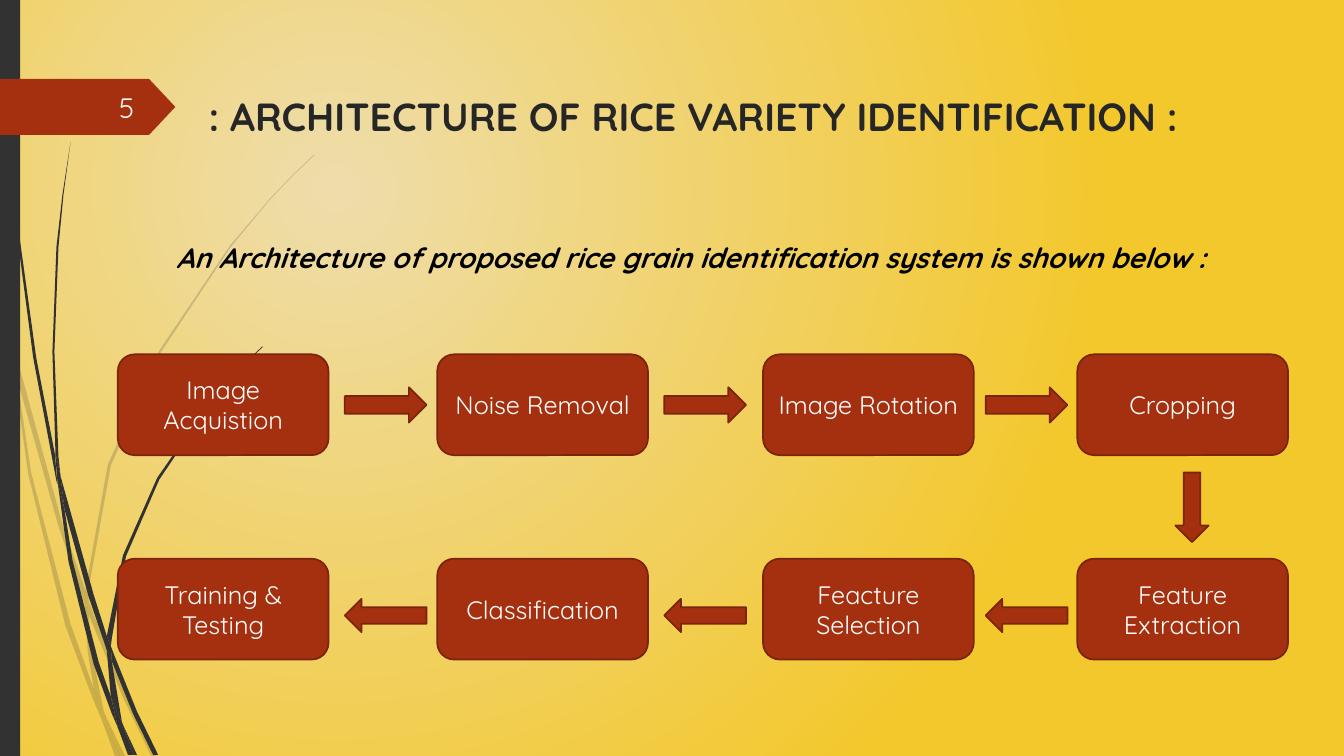
from pptx import Presentation
from pptx.dml.color import RGBColor
from pptx.enum.shapes import MSO_SHAPE
from pptx.enum.text import MSO_ANCHOR, MSO_AUTO_SIZE, PP_ALIGN
from pptx.oxml import parse_xml
from pptx.oxml.ns import nsdecls, qn
from pptx.util import Cm, Pt
from lxml import etree

BOX, RECT, TAG = MSO_SHAPE.ROUNDED_RECTANGLE, MSO_SHAPE.RECTANGLE, MSO_SHAPE.PENTAGON
RIGHT, LEFT, DOWN = MSO_SHAPE.RIGHT_ARROW, MSO_SHAPE.LEFT_ARROW, MSO_SHAPE.DOWN_ARROW
TOP, MID = MSO_ANCHOR.TOP, MSO_ANCHOR.MIDDLE
FLUSH, CENTER, END = PP_ALIGN.LEFT, PP_ALIGN.CENTER, PP_ALIGN.RIGHT

FONT = "Quicksand"
RUST = RGBColor(0xA5, 0x30, 0x0F)
EDGE = RGBColor(0x7A, 0x24, 0x0B)
DARK = RGBColor(0x32, 0x32, 0x32)
INK = RGBColor(0x26, 0x26, 0x26)
BLACK = RGBColor(0, 0, 0)
WHITE = RGBColor(0xFF, 0xFF, 0xFF)
CREAM = RGBColor(0xEE, 0xDD, 0xAB)
GOLD = RGBColor(0xF3, 0xC8, 0x2D)

# Content
TITLE = ": ARCHITECTURE OF RICE VARIETY IDENTIFICATION :"
INTRO = "An Architecture of proposed rice grain identification system is shown below :"
PAGE = "5"
STEPS = [
    ["Image Acquistion", "Noise Removal", "Image Rotation", "Cropping"],
    ["Training & Testing", "Classification", "Feacture Selection", "Feature Extraction"],
]

# Flow grid, in cm
COLS = [2.97, 11.02, 19.23, 27.15]
ROWS = [8.93, 14.08]
GAPS = [8.69, 16.74, 24.84]
LINKS = [(RIGHT, 9.76, 0.89), (LEFT, 15.09, 0.84)]

# Rims of the grass blades, in units of 2.54 cm
UNIT = Cm(2.54)
FINE = 1000
FAINT = [
    [(.11, 3.5), (.09, 3.22), (0, 2.82), (0, 2.99), (.1, 3.44)],
    [(.58, 5.22), (.84, 5.99), (.85, 5.86), (.62, 5.2), (.14, 3.45), (.17, 3.76)],
    [(.92, 6.07), (.88, 5.96), (.88, 6.1), (1.23, 6.94), (1.5, 7.5), (1.55, 7.5),
     (1.27, 6.92)],
    [(1.19, 7.5), (1.24, 7.5), (1.05, 7.11)],
    [(.93, 6.83), (.7, 6.19), (.31, 4.69), (.17, 3.76), (.11, 3.5), (.28, 4.7),
     (.65, 6.21), (.92, 6.93), (1.01, 7.14), (.99, 7.07)],
    [(.84, 5.99), (.87, 6.46), (.93, 6.83), (.96, 6.92), (1.05, 7.11),
     (1.03, 7.06), (.91, 6.46), (.88, 6.1), (.88, 6.08)],
    [(.88, 5.84), (1.1, 4.62), (1.6, 3.49), (2.29, 2.45), (2.68, 1.98),
     (2.9, 1.75), (3.12, 1.54), (3.12, 1.53), (2.89, 1.75), (2.68, 1.97),
     (2.28, 2.44), (1.58, 3.48), (1.07, 4.61), (.85, 5.84), (.85, 5.86), (.88, 5.96)],
    [(1.01, 7.14), (1.14, 7.5), (1.19, 7.5)],
    [(.88, 6.08), (.88, 6.1), (.88, 5.96), (.85, 5.86), (.84, 5.99)],
    [(.96, 6.92), (.93, 6.83), (.99, 7.07), (1.01, 7.14), (1.19, 7.5), (1.05, 7.11)],
]
SOLID = [
    [(.07, 1.1), (.17, 2.33), (.33, 3.55), (.56, 4.77), (.57, 4.81), (.55, 4.57),
     (.55, 4.53), (.36, 3.55), (.19, 2.32), (.08, 1.09), (.05, .48), (.04, 0),
     (.03, 0), (.04, .48)],
    [(.88, 5.92), (1.06, 6.45), (1.06, 6.33), (1.06, 6.31), (.93, 5.9), (.6, 4.72),
     (.64, 5.05)],
    [(1.13, 6.49), (1.1, 6.41), (1.11, 6.56), (1.32, 7.08), (1.52, 7.49),
     (1.57, 7.49), (1.36, 7.06)],
    [(1.1, 6.91), (.98, 6.57), (.72, 5.56), (.64, 5.05), (.57, 4.77), (.68, 5.57),
     (.93, 6.59), (1.11, 7.08), (1.17, 7.22), (1.16, 7.17)],
    [(.6, 4.72), (.58, 4.53), (.54, 3.49), (.58, 2.45), (.63, 1.93), (.7, 1.41),
     (.62, 1.93), (.56, 2.45), (.52, 3.49), (.55, 4.49)],
    [(1.33, 7.49), (1.36, 7.49), (1.22, 7.19)],
    [(.57, 4.77), (.64, 5.05), (.6, 4.72), (.55, 4.49), (.55, 4.53)],
    [(1.11, 6.33), (1.25, 5.52), (1.58, 4.76), (2.05, 4.06), (2.31, 3.74),
     (2.45, 3.59), (2.61, 3.44), (2.6, 3.44), (2.45, 3.58), (2.31, 3.73),
     (2.04, 4.05), (1.56, 4.74), (1.22, 5.51), (1.06, 6.31), (1.1, 6.41)],
    [(1.17, 7.22), (1.27, 7.49), (1.31, 7.49)],
    [(1.06, 6.45), (1.1, 6.91), (1.16, 7.06), (1.22, 7.19), (1.21, 7.16),
     (1.11, 6.56), (1.09, 6.51)],
    [(1.06, 6.45), (1.09, 6.51), (1.11, 6.56), (1.1, 6.41), (1.06, 6.31), (1.06, 6.33)],
    [(1.16, 7.06), (1.1, 6.91), (1.16, 7.17), (1.17, 7.22), (1.3, 7.49),
     (1.33, 7.49), (1.22, 7.19)],
]


def write(frame, text, size, color, align, anchor, bold=False, slant=False):
    frame.word_wrap = True
    frame.auto_size = MSO_AUTO_SIZE.NONE
    frame.vertical_anchor = anchor
    para = frame.paragraphs[0]
    para.alignment = align
    run = para.add_run()
    run.text = text
    font = run.font
    font.name, font.size, font.bold, font.italic = FONT, Pt(size), bold, slant
    font.color.rgb = color
    return para


def place(shape, *spot):
    shape.left, shape.top, shape.width, shape.height = map(Cm, spot)


def paint(shape, fill, line=None):
    shape.shadow.inherit = False
    shape.fill.solid()
    shape.fill.fore_color.rgb = fill
    if line is None:
        shape.line.fill.background()
    else:
        shape.line.color.rgb = line
        shape.line.width = Pt(1.25)
    return shape


def draw(kind, spot, fill=RUST, line=EDGE):
    return paint(slide.shapes.add_shape(kind, *map(Cm, spot)), fill, line)


def blade(rim, alpha=None):
    dots = [(x * FINE, y * FINE) for x, y in rim]
    pen = slide.shapes.build_freeform(*dots[0], scale=UNIT / FINE)
    pen.add_line_segments(dots[1:], close=True)
    shape = paint(pen.convert_to_shape(), DARK)
    if alpha:
        tint = shape.element.spPr.find(qn("a:solidFill"))[0]
        etree.SubElement(tint, qn("a:alpha")).set("val", str(alpha * 1000))


deck = Presentation()
deck.slide_width, deck.slide_height = Cm(33.87), Cm(19.05)
slide = deck.slides.add_slide(deck.slide_layouts[1])

# Background glow
slide.element.cSld.insert(0, parse_xml(
    f'<p:bg {nsdecls("p", "a")}><p:bgPr><a:gradFill rotWithShape="1"><a:gsLst>'
    f'<a:gs pos="0"><a:srgbClr val="{CREAM}"/></a:gs>'
    f'<a:gs pos="100000"><a:srgbClr val="{GOLD}"/></a:gs></a:gsLst>'
    '<a:path path="circle"><a:fillToRect l="50000" t="50000" r="100000" b="100000"/>'
    '</a:path></a:gradFill><a:effectLst/></p:bgPr></p:bg>'))

# Grass, side bar and page tag
for rim in FAINT:
    blade(rim, 20)
for rim in SOLID:
    blade(rim)
draw(RECT, (0, 0, 0.51, 19.05), DARK, None)
tag = draw(TAG, (0, 1.99, 4.42, 1.41), RUST, None)
tag.adjustments[0] = 0.47

# Title and intro, in front of the grass
title, body = slide.shapes.title, slide.placeholders[1]
for item in (title, body):
    item.element.getparent().append(item.element)
place(title, 2.72, 2.2, 29.49, 3.56)
write(title.text_frame, TITLE, 28, INK, CENTER, TOP, bold=True)
place(body, 4.19, 5.93, 29.59, 1.73)
para = write(body.text_frame, INTRO, 20, BLACK, FLUSH, TOP, bold=True, slant=True)
para.space_before = Pt(10)
props = para._p.get_or_add_pPr()
props.set("marL", "0")
props.set("indent", "0")
etree.SubElement(props, qn("a:buNone"))

page = slide.shapes.add_textbox(*map(Cm, (1.48, 2.2, 2.16, 1.02)))
write(page.text_frame, PAGE, 20, WHITE, END, MID)

# Flow boxes
for top, names in zip(ROWS, STEPS):
    for left, name in zip(COLS, names):
        box = draw(BOX, (left, top, 5.31, 2.54))
        write(box.text_frame, name, 18, WHITE, CENTER, MID)

# Flow arrows
for kind, top, high in LINKS:
    for left in GAPS:
        draw(kind, (left, top, 2.06, high))
draw(DOWN, (29.62, 11.91, 0.84, 1.75))

deck.save("out.pptx")
